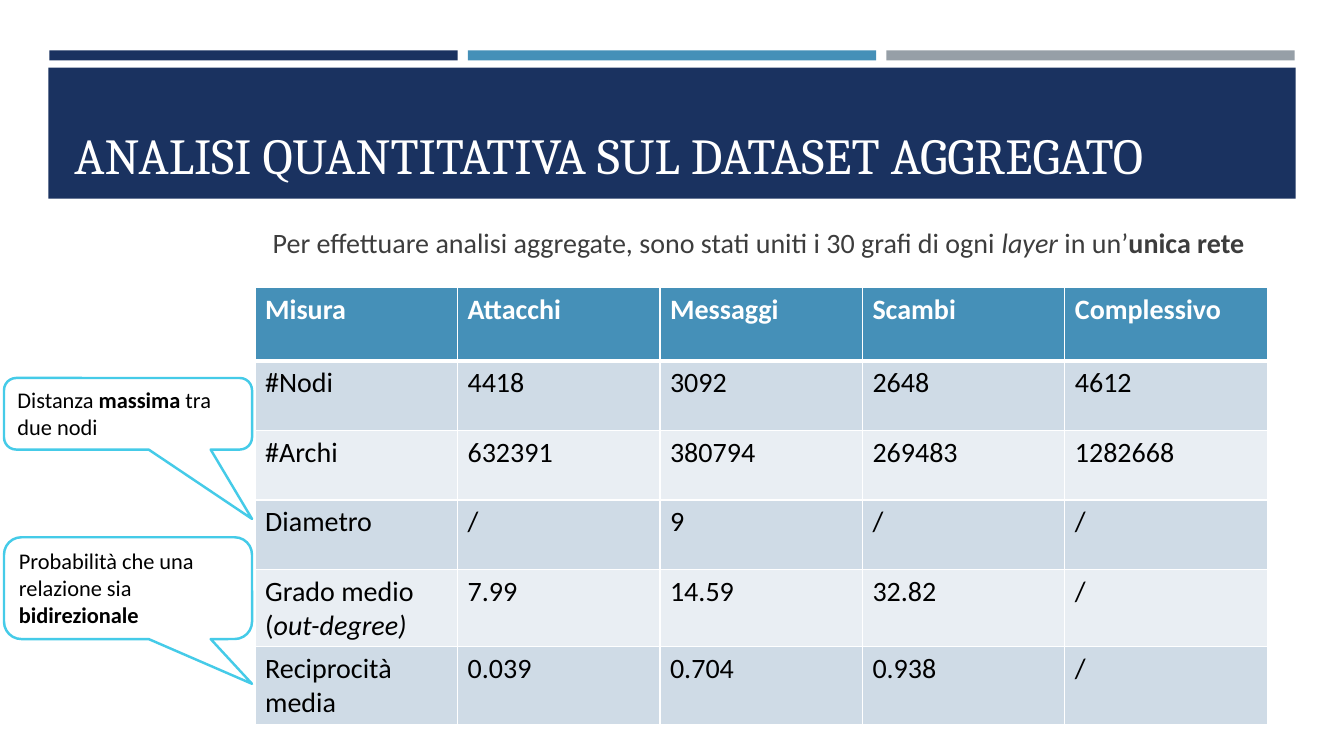
from lxml.etree import SubElement
from pptx import Presentation
from pptx.dml.color import RGBColor
from pptx.enum.shapes import MSO_SHAPE as Shape
from pptx.enum.text import MSO_ANCHOR as Anchor, PP_ALIGN as Align
from pptx.oxml.ns import qn
from pptx.util import Inches, Pt

NAVY, BLUE, GREY, CYAN = "1A3260", "4590B8", "969FA7", "45CBE8"
WHITE, BLACK, CHARCOAL = "FFFFFF", "000000", "3D3D3D"
BANDS = ["CFDBE6", "E9EEF3"]


def color(value):
    return RGBColor.from_string(value)


def write(frame, paragraphs, **font):
    """Fill a frame; each paragraph lists (text, style) pairs, style being bold, italic or empty."""
    frame.word_wrap = True
    ink = font.pop("ink")
    for index, spans in enumerate(paragraphs):
        para = frame.add_paragraph() if index else frame.paragraphs[0]
        para.alignment = Align.LEFT
        for text, style in spans:
            span = para.add_run()
            span.text = text
            span.font.color.rgb = color(ink)
            looks = {"name": "Calibri", "bold": style == "bold", "italic": style == "italic"}
            for name, value in {**looks, **font}.items():
                setattr(span.font, name, value)


deck = Presentation()
deck.slide_width, deck.slide_height = Inches(13.33), Inches(7.5)
page = deck.slides.add_slide(deck.slide_layouts[6])

# Header: three bars over the title band
bars = [(0.49 + 4.15 * column, 0.5, 4.05, 0.1, fill)
        for column, fill in enumerate([NAVY, BLUE, GREY])]
for left, top, width, height, fill in bars + [(0.48, 0.67, 12.37, 1.3, NAVY)]:
    bar = page.shapes.add_shape(Shape.RECTANGLE, *map(Inches, (left, top, width, height)))
    bar.shadow.inherit = False
    bar.fill.solid()
    bar.fill.fore_color.rgb = color(fill)
    bar.line.fill.background()

title = page.shapes.add_textbox(*map(Inches, (0.64, 0.77, 12.06, 1.11))).text_frame
title.vertical_anchor = Anchor.BOTTOM
write(title, [[("ANALISI QUANTITATIVA SUL DATASET AGGREGATO", "")]],
      size=Pt(36), name="Cambria", ink=WHITE)

# Table of measures
rows = [
    ["Misura", "Attacchi", "Messaggi", "Scambi", "Complessivo"],
    ["#Nodi", "4418", "3092", "2648", "4612"],
    ["#Archi", "632391", "380794", "269483", "1282668"],
    ["Diametro", "/", "9", "/", "/"],
    [[[("Grado medio", "")], [("(", ""), ("out-degree)", "italic")]],
     "7.99", "14.59", "32.82", "/"],
    ["Reciprocità media", "0.039", "0.704", "0.938", "/"],
]
row_heights = [0.73, 0.69, 0.69, 0.69, 0.73, 0.73]
table = page.shapes.add_table(len(rows), len(rows[0]),
                              *map(Inches, (2.53, 2.85, 10.04, sum(row_heights)))).table
for row, height in zip(table.rows, row_heights):
    row.height = Inches(height)

for r, values in enumerate(rows):
    for c, value in enumerate(values):
        cell = table.cell(r, c)
        header = r == 0
        paragraphs = [[(value, "bold" if header else "")]] if isinstance(value, str) else value
        write(cell.text_frame, paragraphs, size=Pt(20), ink=WHITE if header else BLACK)
        properties = cell._tc.get_or_add_tcPr()
        for side in ["lnL", "lnR", "lnT", "lnB"]:
            thick = (r, side) in [(0, "lnB"), (1, "lnT")]
            border = SubElement(properties, qn(f"a:{side}"), w=str(Pt(3 if thick else 1)))
            SubElement(SubElement(border, qn("a:solidFill")), qn("a:srgbClr"), val=WHITE)
        cell.fill.solid()
        cell.fill.fore_color.rgb = color(BLUE if header else BANDS[(r - 1) % 2])

intro = page.shapes.add_textbox(*map(Inches, (2.03, 2.19, 11.05, 0.49))).text_frame
write(intro, [[("Per effettuare analisi aggregate, sono stati uniti i 30 grafi di ogni ", ""),
               ("layer", "italic"), (" in un’", ""), ("unica rete ", "bold")]],
      size=Pt(20), ink=CHARCOAL)
intro.paragraphs[0].alignment = Align.CENTER

# Callouts that explain two of the measures
callouts = [
    (3.75, 0.71, 1.47, [("Distanza ", ""), ("massima", "bold"), (" tra due nodi", "")]),
    (5.33, 1.01, 0.94, [("Probabilità che una relazione sia ", ""), ("bidirezionale", "bold")]),
]
for top, height, tip, spans in callouts:
    callout = page.shapes.add_shape(Shape.ROUNDED_RECTANGULAR_CALLOUT,
                                    *map(Inches, (0.04, top, 2.46, height)))
    for index, share in enumerate([0.5, tip, 0.17]):
        callout.adjustments[index] = share
    callout.shadow.inherit = False
    callout.fill.solid()
    callout.fill.fore_color.rgb = color(WHITE)
    callout.line.color.rgb = color(CYAN)
    callout.line.width = Pt(1.75)
    callout.text_frame.vertical_anchor = Anchor.TOP
    write(callout.text_frame, [spans], size=Pt(16), ink=BLACK)

deck.save("out.pptx")
